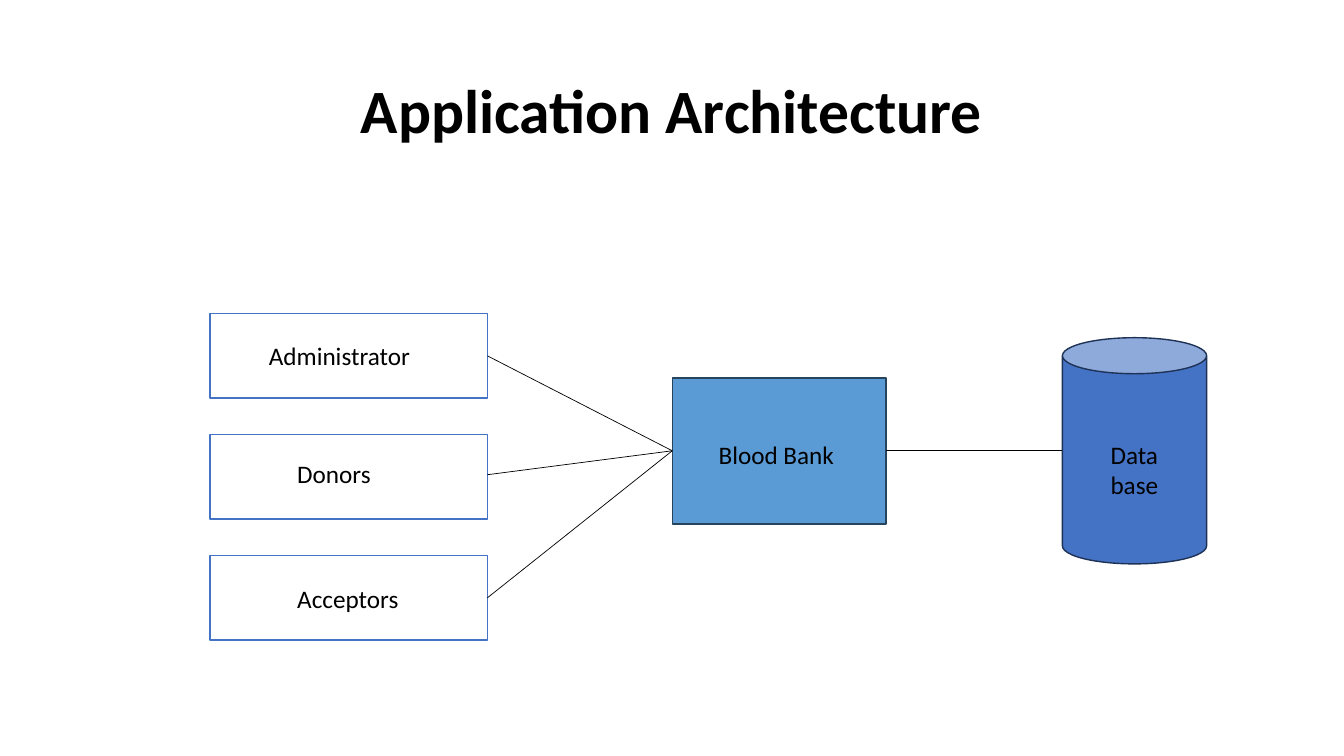
import pptx
import pptx.dml.color
import pptx.enum.shapes
import pptx.enum.text
import pptx.util

Pt = pptx.util.Pt
Kind = pptx.enum.shapes.MSO_SHAPE
Align = pptx.enum.text.PP_ALIGN


def tint(code):
    return pptx.dml.color.RGBColor.from_string(code)


class Board:
    font = "Calibri"
    ink = "000000"

    def __init__(self, deck):
        self.slide = deck.slides.add_slide(deck.slide_layouts[5])

    def style(self, frame, size, bold=False):
        for para in frame.paragraphs:
            for run in para.runs:
                run.font.name = self.font
                run.font.size = Pt(size)
                run.font.bold = bold
                run.font.color.rgb = tint(self.ink)

    def title(self, text, left, top, width, height):
        head = self.slide.shapes.title
        head.left, head.top = Pt(left), Pt(top)
        head.width, head.height = Pt(width), Pt(height)
        frame = head.text_frame
        frame.text = text
        frame.vertical_anchor = pptx.enum.text.MSO_ANCHOR.MIDDLE
        frame.paragraphs[0].alignment = Align.CENTER
        frame.paragraphs[0].line_spacing = 0.9
        self.style(frame, 44, True)

    def shape(self, kind, left, top, width, height, fill, edge):
        item = self.slide.shapes.add_shape(
            kind, Pt(left), Pt(top), Pt(width), Pt(height))
        item.shadow.inherit = False
        item.fill.solid()
        item.fill.fore_color.rgb = tint(fill)
        item.line.color.rgb = tint(edge)
        item.line.width = Pt(1)

    def label(self, text, left, top, width, height=29):
        box = self.slide.shapes.add_textbox(
            Pt(left), Pt(top), Pt(width), Pt(height))
        frame = box.text_frame
        frame.word_wrap = True
        frame.auto_size = pptx.enum.text.MSO_AUTO_SIZE.SHAPE_TO_FIT_TEXT
        frame.text = text
        self.style(frame, 18)

    def line(self, x, y, end, level):
        link = self.slide.shapes.add_connector(
            pptx.enum.shapes.MSO_CONNECTOR.STRAIGHT,
            Pt(x), Pt(y), Pt(end), Pt(level))
        link.line.color.rgb = tint(self.ink)
        link.line.width = Pt(0.5)
        props = link._element.spPr
        props.append(pptx.oxml.parse_xml(
            '<a:effectLst xmlns:a='
            '"http://schemas.openxmlformats.org/drawingml/2006/main"/>'))


def main():
    deck = pptx.Presentation()
    deck.slide_width, deck.slide_height = Pt(960), Pt(540)
    board = Board(deck)
    board.title("Application Architecture", 66, 28.75, 828, 104.4)

    users = [
        ("Administrator", 185, 239.8, 162.7, 254.2),
        ("Donors", 205.2, 324, 152.6, 339.1),
        ("Acceptors", 205.2, 413.3, 133.2, 427),
    ]
    for row in range(len(users)):
        board.shape(Kind.RECTANGLE, 150, 224 + row * 86.4, 198.2, 60.4,
                    "FFFFFF", "4472C4")
    board.shape(Kind.RECTANGLE, 480.2, 270, 152.8, 104.4, "5B9BD5", "28445D")
    board.shape(Kind.CAN, 758.9, 241.2, 103, 161.6, "4472C4", "1E3256")

    mid = 322
    for name, left, top, width, port in users:
        board.label(name, left, top, width)
        board.line(348.2, port, 480.2, mid)
    board.label("Blood Bank", 506.2, 310.3, 105)
    board.label("Data base", 786.2, 310.3, 57.6, 51)
    board.line(633, mid, 758.9, mid)

    deck.save("out.pptx")


if __name__ == "__main__":
    main()
